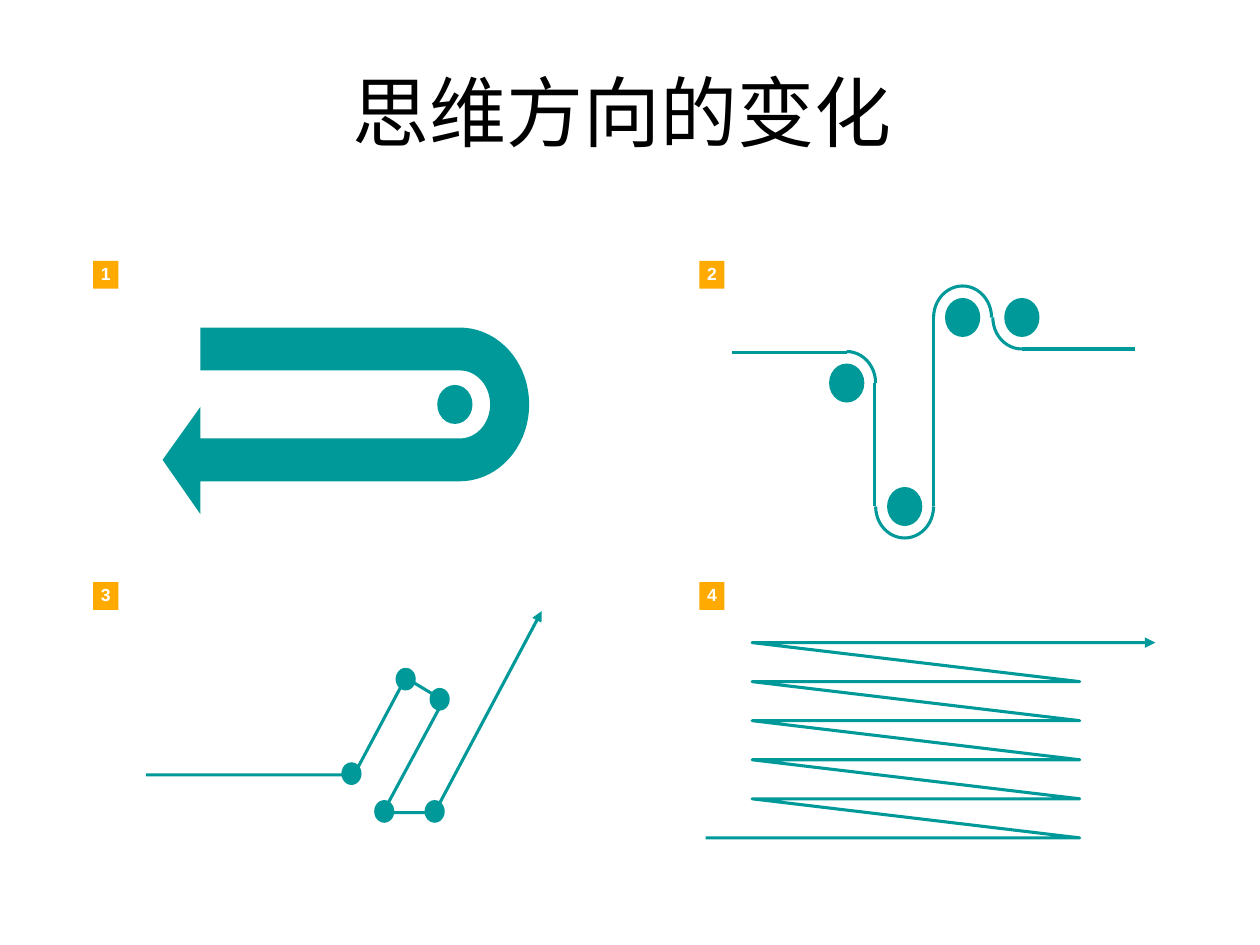
"""Build a slide with four diagrams of changing thinking direction."""
import math
from dataclasses import dataclass

from pptx import Presentation
from pptx import util as u
from pptx.dml.color import RGBColor
from pptx.enum import shapes, text
from pptx.oxml.ns import qn


@dataclass(frozen=True)
class Theme:
    """Colours, type and line sizes of the slide."""
    teal: str = "009999"
    amber: str = "FFAA00"
    white: str = "FFFFFF"
    black: str = "000000"
    font: str = "Arial"
    title_size: float = 44
    badge_size: float = 10
    line_width: float = 1.75


@dataclass(frozen=True)
class Box:
    """A region of the slide, in inches."""
    left: float
    top: float
    width: float
    height: float

    def at(self, x, y):
        """Return the slide position of a point inside the box."""
        return u.Inches(self.left + x), u.Inches(self.top + y)


THEME = Theme()


def write(shape, words, size, color, bold=False, spacing=None, wrap=True):
    """Put one centred paragraph in the middle of a shape."""
    frame = shape.text_frame
    frame.word_wrap = wrap
    frame.vertical_anchor = text.MSO_ANCHOR.MIDDLE
    para = frame.paragraphs[0]
    para.alignment = text.PP_ALIGN.CENTER
    para.line_spacing = spacing
    span = para.add_run()
    span.text = words
    span.font.name = THEME.font
    span.font.size = u.Pt(size)
    span.font.bold = bold
    span.font.color.rgb = RGBColor.from_string(color)


def paint(shape, color):
    """Give a shape a plain fill without outline or shadow."""
    shape.shadow.inherit = False
    shape.fill.solid()
    shape.fill.fore_color.rgb = RGBColor.from_string(color)
    shape.line.fill.background()


def stroke(item):
    """Give a shape or connector the teal line."""
    item.line.color.rgb = RGBColor.from_string(THEME.teal)
    item.line.width = u.Pt(THEME.line_width)


def add_oval(canvas, box, kind, center, radii):
    """Add a shape of the given kind around a centre point."""
    (x, y), (rx, ry) = center, radii
    return canvas.add_shape(kind, *box.at(x - rx, y - ry), u.Inches(2 * rx), u.Inches(2 * ry))


def add_ball(canvas, box, center, radii=(0.14, 0.155)):
    """Add a filled teal ball."""
    paint(add_oval(canvas, box, shapes.MSO_SHAPE.OVAL, center, radii), THEME.teal)


def add_outline(canvas, box, points, closed):
    """Add a freeform through points inside the box."""
    corners = [box.at(x, y) for x, y in points]
    builder = canvas.build_freeform(*corners[0])
    builder.add_line_segments(corners[1:], close=closed)
    return builder.convert_to_shape()


def add_route(canvas, box, points):
    """Add an open line through points that ends in an arrowhead."""
    route = add_outline(canvas, box, points, closed=False)
    route.shadow.inherit = False
    route.fill.background()
    stroke(route)
    head = route.line._get_or_add_ln().makeelement(qn("a:tailEnd"), {"type": "triangle"})
    route.line._get_or_add_ln().append(head)


def add_badge(canvas, box, number):
    """Add the numbered square at the corner of a panel."""
    badge = canvas.add_shape(shapes.MSO_SHAPE.RECTANGLE, *box.at(0, 0), u.Inches(0.2), u.Inches(0.22))
    paint(badge, THEME.amber)
    frame = badge.text_frame
    frame.margin_left = frame.margin_right = frame.margin_top = frame.margin_bottom = 0
    write(badge, str(number), THEME.badge_size, THEME.white, bold=True, spacing=0.93, wrap=False)


def add_title(canvas, box):
    """Add the slide title."""
    title = canvas.add_textbox(*box.at(0, 0), u.Inches(box.width), u.Inches(box.height))
    write(title, "思维方向的变化", THEME.title_size, THEME.black)


def draw_u_turn(canvas, box):
    """Draw the broad arrow that turns back around a ball."""
    turn_x, turn_y, tail_x = 2.91, 1.14, 0.85

    def bend(rx, ry, angles):
        return [(turn_x + rx * math.cos(math.radians(a)), turn_y + ry * math.sin(math.radians(a)))
                for a in angles]

    outer = bend(0.55, 0.61, range(-90, 91, 5))
    inner = bend(0.24, 0.27, range(90, -91, -5))
    head = [(tail_x, 1.75), (tail_x, 2.01), (0.55, 1.58), (tail_x, 1.16), (tail_x, 1.41)]
    points = [(tail_x, 0.53), *outer, *head, *inner, (tail_x, 0.87)]
    paint(add_outline(canvas, box, points, closed=True), THEME.teal)
    add_ball(canvas, box, (2.87, turn_y))


def draw_pulleys(canvas, box):
    """Draw the cord that runs around four pulleys."""
    group = canvas.add_group_shape().shapes
    pulleys = [((1.17, 0.97), 270, 0), ((1.63, 1.95), 0, 180),
               ((2.09, 0.45), 180, 0), ((2.56, 0.45), 90, 180)]
    for center, start, end in pulleys:
        add_ball(group, box, center)
        arc = add_oval(group, box, shapes.MSO_SHAPE.ARC, center, (0.23, 0.25))
        arc.adjustments[0], arc.adjustments[1] = start * 0.6, end * 0.6
        arc.shadow.inherit = False
        arc.fill.background()
        stroke(arc)
    cords = [((1.17, 0.73), (0.26, 0.73)), ((1.39, 1.95), (1.39, 0.97)),
             ((1.86, 1.95), (1.86, 0.45)), ((3.46, 0.7), (2.56, 0.7))]
    for start, end in cords:
        cord = group.add_connector(shapes.MSO_CONNECTOR.STRAIGHT, *box.at(*start), *box.at(*end))
        stroke(cord)
        properties = cord._element.spPr
        properties.append(properties.makeelement(qn("a:effectLst"), {}))


def draw_detour(canvas, box):
    """Draw the route that bends at five joints."""
    add_route(canvas, box, [(0.42, 1.53), (2.07, 1.53), (2.48, 0.76), (2.78, 0.94),
                            (2.3, 1.83), (2.71, 1.83), (3.56, 0.23)])
    for joint in [(2.05, 1.52), (2.48, 0.77), (2.75, 0.93), (2.31, 1.82), (2.71, 1.82)]:
        add_ball(canvas, box, joint, (0.08, 0.09))


def draw_zigzag(canvas, box):
    """Draw the route that climbs in even zigzags."""
    left, right, bottom, step, turns = 0.42, 3.02, 2.03, 0.31, 5
    points = [(0.05, bottom)]
    for turn in range(turns):
        points += [(right, bottom - turn * step), (left, bottom - (turn + 1) * step)]
    points.append((3.62, bottom - turns * step))
    add_route(canvas, box, points)


def main():
    """Build and save the deck."""
    deck = Presentation()
    deck.slide_width, deck.slide_height = u.Inches(10), u.Inches(7.5)
    canvas = deck.slides.add_slide(deck.slide_layouts[6]).shapes
    add_title(canvas, Box(0.63, 0.5, 8.62, 0.75))
    for index, draw in enumerate([draw_u_turn, draw_pulleys, draw_detour, draw_zigzag]):
        row, column = divmod(index, 2)
        panel = Box(0.74 + column * 4.81, 2.07 + row * 2.55, 3.7, 2.4)
        draw(canvas, panel)
        add_badge(canvas, panel, index + 1)
    deck.save("out.pptx")


if __name__ == "__main__":
    main()
